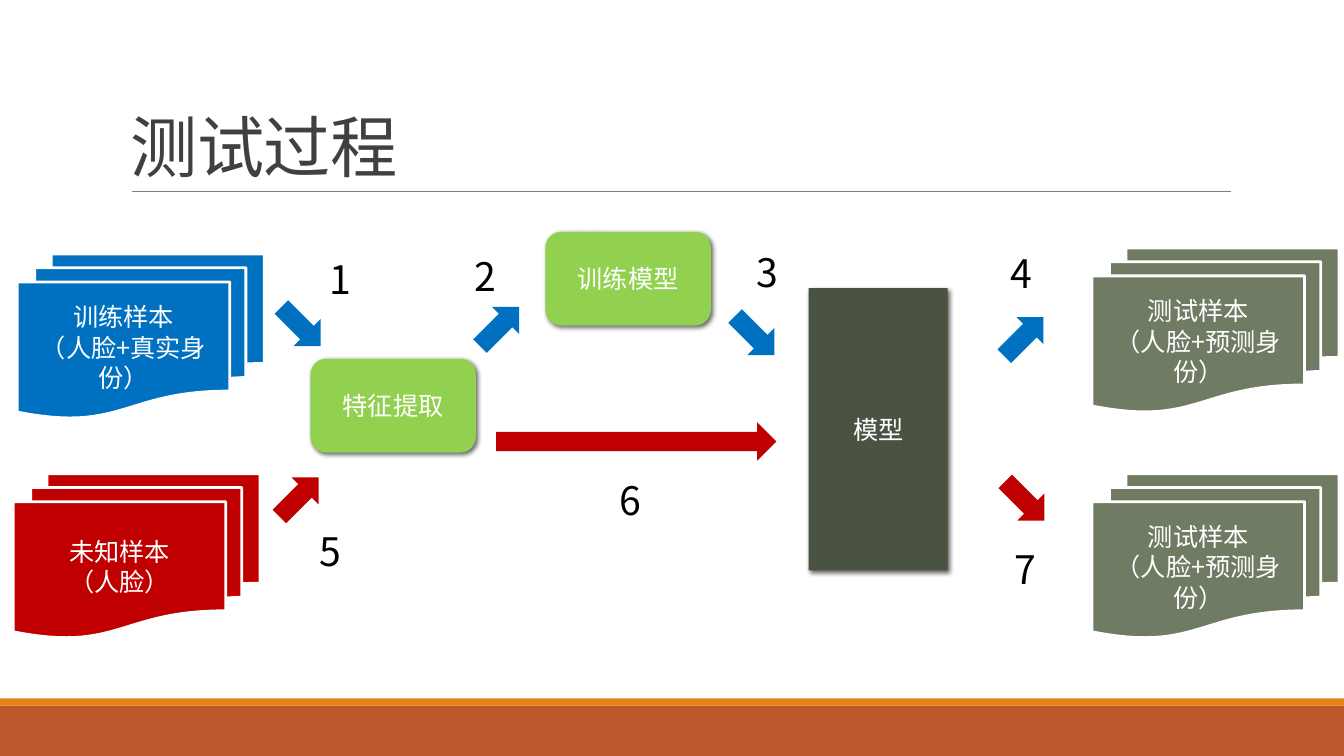
from lxml import etree
from pptx import Presentation
from pptx.dml.color import RGBColor
from pptx.enum.shapes import MSO_CONNECTOR, MSO_SHAPE
from pptx.enum.text import MSO_ANCHOR, MSO_AUTO_SIZE, PP_ALIGN
from pptx.oxml.ns import qn
from pptx.util import Inches, Pt

RECT = MSO_SHAPE.RECTANGLE
ROUND = MSO_SHAPE.ROUNDED_RECTANGLE
DOCS = MSO_SHAPE.FLOWCHART_MULTIDOCUMENT
ARROW = MSO_SHAPE.RIGHT_ARROW
STRAIGHT = MSO_CONNECTOR.STRAIGHT
MIDDLE, BOTTOM = MSO_ANCHOR.MIDDLE, MSO_ANCHOR.BOTTOM
CENTER = PP_ALIGN.CENTER
GROW = MSO_AUTO_SIZE.SHAPE_TO_FIT_TEXT

FONT = "Noto Sans CJK SC"
BLUE, RED, GREEN = "0070C0", "C00000", "92D050"
SAGE, DARK, WHITE, BLACK = "6F7B63", "4A5242", "FFFFFF", "000000"


def color(code):
    return RGBColor.from_string(code)


def inches(box):
    return [Inches(n) for n in box]


def add_run(para, text, size, code):
    run = para.add_run()
    run.text = text
    run.font.size = Pt(size)
    run.font.color.rgb = color(code)
    run.font.name = FONT
    props = run.font._element
    etree.SubElement(props, qn("a:ea"), typeface=FONT)
    return props


def add_shape(slide, kind, box, fill, lines=()):
    shape = slide.shapes.add_shape(kind, *inches(box))
    shape.shadow.inherit = False
    shape.fill.solid()
    shape.fill.fore_color.rgb = color(fill)
    shape.line.fill.background()
    frame = shape.text_frame
    frame.word_wrap = True
    frame.vertical_anchor = MIDDLE
    for i, text in enumerate(lines):
        para = frame.add_paragraph() if i else frame.paragraphs[0]
        para.alignment = CENTER
        add_run(para, text, 18, WHITE)
    return shape


def add_text(slide, box, text, size, code):
    frame = slide.shapes.add_textbox(*inches(box)).text_frame
    frame.word_wrap = True
    props = add_run(frame.paragraphs[0], text, size, code)
    return frame, props


def add_footer(slide, box):
    left, top, width, height = box
    strip = 0.07
    add_shape(slide, RECT, (left, top + strip, width, height - strip), "BD582C")
    add_shape(slide, RECT, (left, top, width, strip), "E48312")


def add_title(slide, box, text):
    left, top, width, height = box
    base = top + height
    rule = slide.shapes.add_connector(
        STRAIGHT, *inches((left + 0.11, base, left + 11.01, base)))
    rule.line.color.rgb = color("808080")
    rule.line.width = Pt(0.5)
    etree.SubElement(rule._element.spPr, qn("a:effectLst"))
    frame, props = add_text(slide, box, text, 48, "404040")
    frame.vertical_anchor = BOTTOM
    frame.paragraphs[0].line_spacing = 0.85
    props.set("spc", "-50")


def add_docs(slide, left, top, fill, lines):
    stack = add_shape(slide, DOCS, (left, top, 2.45, 1.63), fill, lines)
    stack.line.color.rgb = color(WHITE)
    stack.line.width = Pt(2)


def add_block(slide, kind, box, fill, text):
    block = add_shape(slide, kind, box, fill, [text])
    effects = block._element.spPr.find(qn("a:effectLst"))
    shade = etree.SubElement(
        effects, qn("a:outerShdw"), blurRad=str(Pt(3.5)), dist=str(Pt(2)),
        dir=str(45 * 60000), algn="tl", rotWithShape="0")
    tint = etree.SubElement(shade, qn("a:srgbClr"), val=BLACK)
    etree.SubElement(tint, qn("a:alpha"), val="60000")


def add_step(slide, number, box, turn, fill, label):
    arrow = add_shape(slide, ARROW, box, fill)
    arrow.rotation = turn
    frame, _ = add_text(slide, label, str(number), 28, BLACK)
    frame.auto_size = GROW


def add_flow(slide, box):
    x, y = box[:2]
    # Sample stacks
    guess = ["测试样本", "（人脸+预测身份）"]
    for dx, dy, fill, lines in [
        (0.04, 0.22, BLUE, ["训练样本", "（人脸+真实身份）"]),
        (0, 2.4, RED, ["未知样本", "（人脸）"]),
        (10.7, 0.16, SAGE, guess),
        (10.7, 2.4, SAGE, guess),
    ]:
        add_docs(slide, x + dx, y + dy, fill, lines)

    # Processing blocks
    for kind, dx, dy, width, height, fill, text in [
        (ROUND, 2.95, 1.26, 1.64, 0.93, GREEN, "特征提取"),
        (ROUND, 5.28, 0, 1.64, 0.93, GREEN, "训练模型"),
        (RECT, 7.89, 0.56, 1.38, 2.8, DARK, "模型"),
    ]:
        add_block(slide, kind, (x + dx, y + dy, width, height), fill, text)

    # Numbered arrows: offset, length, turn, colour, label offset and width
    steps = [
        (2.58, 0.75, 0.55, 45, BLUE, 3.04, 0.18, 0.68),
        (4.55, 0.75, 0.55, 315, BLUE, 4.48, 0.15, 0.68),
        (7.08, 0.84, 0.55, 45, BLUE, 7.27, 0.11, 0.68),
        (9.75, 0.85, 0.55, 315, BLUE, 9.79, 0.12, 0.68),
        (2.56, 2.44, 0.55, 315, RED, 2.94, 2.88, 1.85),
        (4.79, 1.89, 2.78, 0, RED, 5.92, 2.38, 1.85),
        (9.76, 2.48, 0.55, 45, RED, 9.83, 3.06, 1.85),
    ]
    for number, (dx, dy, size, turn, fill, tx, ty, wide) in enumerate(steps, 1):
        add_step(slide, number, (x + dx, y + dy, size, 0.38), turn, fill,
                 (x + tx, y + ty, wide, 0.57))


def main():
    deck = Presentation()
    deck.slide_width, deck.slide_height = Inches(13.33), Inches(7.5)
    slide = deck.slides.add_slide(deck.slide_layouts[6])
    add_footer(slide, (0, 6.93, 13.33, 0.57))
    add_title(slide, (1.2, 0.31, 11, 1.59), "测试过程")
    add_flow(slide, (0.13, 2.3, 13.15, 4.03))
    deck.save("out.pptx")


if __name__ == "__main__":
    main()
